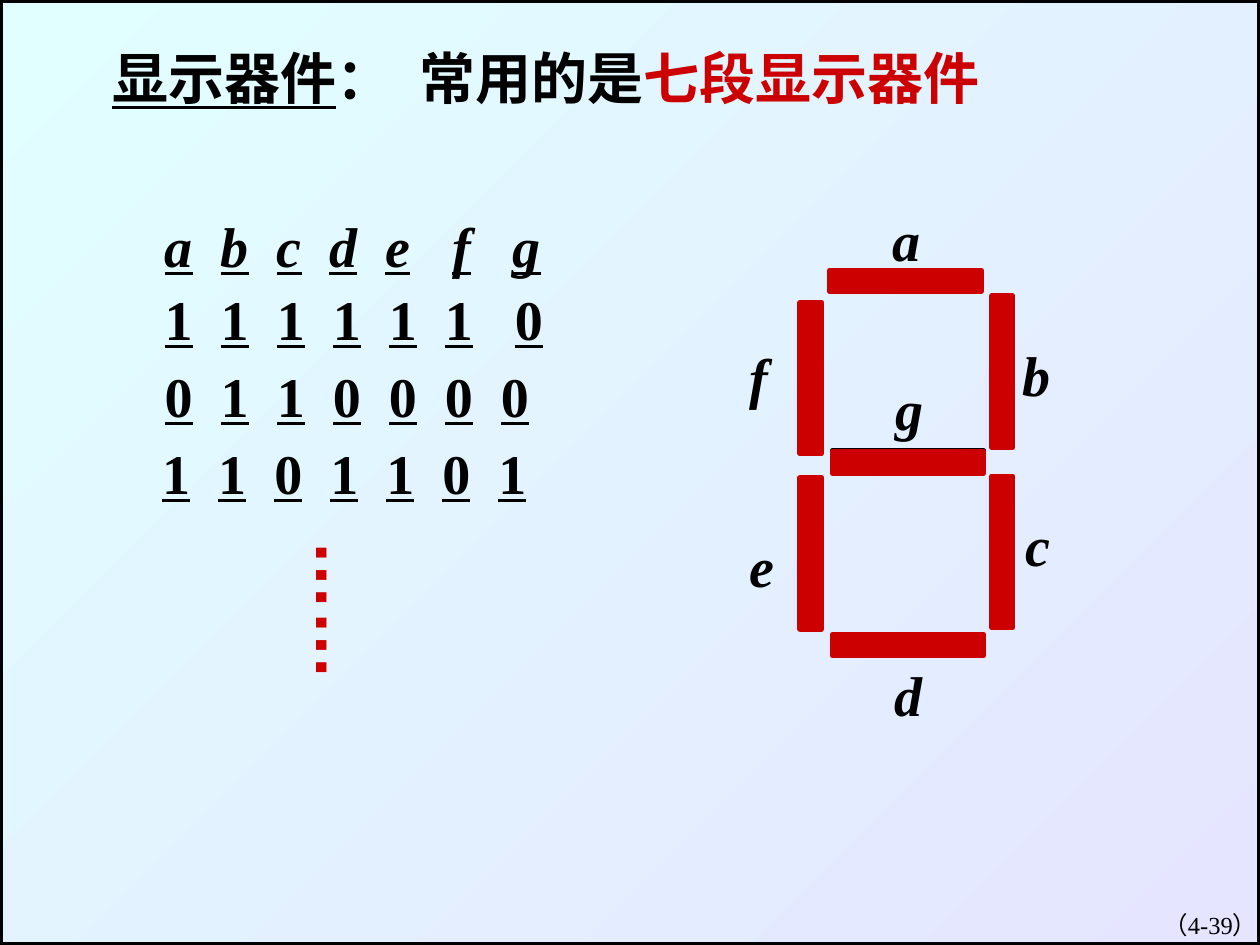
"""Build the slide on seven-segment displays and their segment codes."""
from itertools import accumulate

from lxml import etree
from pptx import Presentation
from pptx.dml.color import RGBColor
from pptx.enum.shapes import MSO_SHAPE
from pptx.enum.text import MSO_ANCHOR, PP_ALIGN
from pptx.oxml.ns import qn
from pptx.util import Cm, Pt

RECTANGLE = MSO_SHAPE.RECTANGLE
TOP = MSO_ANCHOR.TOP
LEFT, RIGHT = PP_ALIGN.LEFT, PP_ALIGN.RIGHT

THEME = {
    "ink": RGBColor(0x00, 0x00, 0x00),
    "accent": RGBColor(0xCC, 0x00, 0x00),
    "shade_start": RGBColor(0xE1, 0xFF, 0xFF),
    "shade_end": RGBColor(0xE5, 0xE5, 0xFF),
    "serif": "Times New Roman",
    "sans": "Arial",
    "body": 32,
    "dots": 40,
    "footer": 14,
    "line": 3,
}

PAGE_WIDTH, PAGE_HEIGHT = 25.4, 19.05
LINE_HEIGHT = 1.63
SEGMENT_LENGTH, SEGMENT_THICKNESS = 3.05, 0.43
INSETS = (0.25, 0.13, 0.25, 0.13)
VERTICAL_INSETS = (0.13, 0.25, 0.13, 0.25)

TITLE = [("显示器件", {"underline": True}), ("：", {})]
SUBJECT = [("常用的是", {}), ("七段显示器件", {"color": "accent"})]
FOOTER = [("（4-39）", {"size": "footer", "bold": False})]
DOTS = [("……", {"size": "dots", "face": "sans", "color": "accent"})]

EVEN = [1.13] * 6
CODE_ROWS = [
    ("abcdefg", 3.07, 4.14, [1.13, 1.13, 1.06, 1.13, 1.35, 1.22]),
    ("1111110", 3.07, 5.61, EVEN[:5] + [1.41]),
    ("0110000", 3.07, 7.16, EVEN),
    ("1101101", 3.02, 8.71, EVEN),
]
CODE_WIDTH = 8.97

SEGMENTS = [
    ("a", "across", (16.73, 5.45), (17.75, 4.01, 1.17)),
    ("b", "down", (19.99, 5.97), (20.37, 6.73, 1.57)),
    ("c", "down", (19.99, 9.6), (20.42, 10.16, 1.42)),
    ("d", "across", (16.78, 12.79), (17.78, 13.18, 1.37)),
    ("e", "down", (16.13, 9.63), (14.86, 10.59, 1.02)),
    ("f", "down", (16.13, 6.1), (14.86, 6.78, 1.32)),
    ("g", "across", (16.78, 9.11), (17.81, 7.42, 1.17)),
]
SEGMENT_SIZES = {
    "across": (SEGMENT_LENGTH, SEGMENT_THICKNESS),
    "down": (SEGMENT_THICKNESS, SEGMENT_LENGTH),
}
MIDDLE_OUTLINE = (16.78, 9.08)


def place(shape, left, top, width, height):
    shape.left, shape.top = Cm(left), Cm(top)
    shape.width, shape.height = Cm(width), Cm(height)


def write(shape, spans, align=LEFT, insets=INSETS):
    frame = shape.text_frame
    frame.word_wrap = True
    frame.vertical_anchor = TOP
    (frame.margin_left, frame.margin_top,
     frame.margin_right, frame.margin_bottom) = map(Cm, insets)
    para = frame.paragraphs[0]
    para.alignment = align
    for text, style in spans:
        span = para.add_run()
        span.text = text
        font = span.font
        font.name = THEME[style.get("face", "serif")]
        font.size = Pt(THEME[style.get("size", "body")])
        font.bold = style.get("bold", True)
        font.italic = style.get("italic", False)
        font.underline = style.get("underline", False)
        font.color.rgb = THEME[style.get("color", "ink")]
    return para


def add_text(page, spans, left, top, width, height=LINE_HEIGHT, **options):
    box = page.shapes.add_textbox(Cm(left), Cm(top), Cm(width), Cm(height))
    write(box, spans, **options)
    return box


def add_rectangle(page, left, top, width, height, line="ink", fill=None):
    shape = page.shapes.add_shape(RECTANGLE, Cm(left), Cm(top), Cm(width), Cm(height))
    shape.shadow.inherit = False
    shape.line.color.rgb = THEME[line]
    shape.line.width = Pt(THEME["line"])
    if fill:
        shape.fill.solid()
        shape.fill.fore_color.rgb = THEME[fill]
    else:
        shape.fill.background()
    return shape


def add_backdrop(page):
    shape = add_rectangle(page, 0, 0, PAGE_WIDTH, PAGE_HEIGHT)
    shape.fill.gradient()
    shape.fill.gradient_angle = 315
    for stop, name in zip(shape.fill.gradient_stops, ("shade_start", "shade_end")):
        stop.color.rgb = THEME[name]
    page.shapes.title.element.addprevious(shape.element)


def add_code_row(page, symbols, left, top, gaps):
    style = {"underline": True, "italic": symbols.isalpha()}
    box = add_text(page, [("\t".join(symbols), style)], left, top, CODE_WIDTH)
    properties = box.text_frame.paragraphs[0]._p.get_or_add_pPr()
    stops = etree.SubElement(properties, qn("a:tabLst"))
    for position in accumulate(gaps):
        etree.SubElement(stops, qn("a:tab"), pos=str(Cm(position)), algn="l")


def add_display(page):
    add_rectangle(page, *MIDDLE_OUTLINE, *SEGMENT_SIZES["across"])
    for letter, direction, corner, (left, top, width) in SEGMENTS:
        add_rectangle(page, *corner, *SEGMENT_SIZES[direction], "accent", "accent")
        add_text(page, [(letter, {"italic": True})], left, top, width)


def main():
    deck = Presentation()
    deck.slide_width, deck.slide_height = Cm(PAGE_WIDTH), Cm(PAGE_HEIGHT)
    page = deck.slides.add_slide(deck.slide_layouts[5])
    add_backdrop(page)
    place(page.shapes.title, 2.01, 0.74, 6.6, LINE_HEIGHT)
    write(page.shapes.title, TITLE)
    add_text(page, SUBJECT, 8.2, 0.74, 12.22)
    for row in CODE_ROWS:
        add_code_row(page, *row)
    dots = add_text(page, DOTS, 5.74, 10.64, 2.18, 3.81, insets=VERTICAL_INSETS)
    dots.text_frame._txBody.bodyPr.set("vert", "eaVert")
    add_display(page)
    add_text(page, FOOTER, 20.32, 18.21, 5.28, 1.27, align=RIGHT)
    deck.save("out.pptx")


if __name__ == "__main__":
    main()
